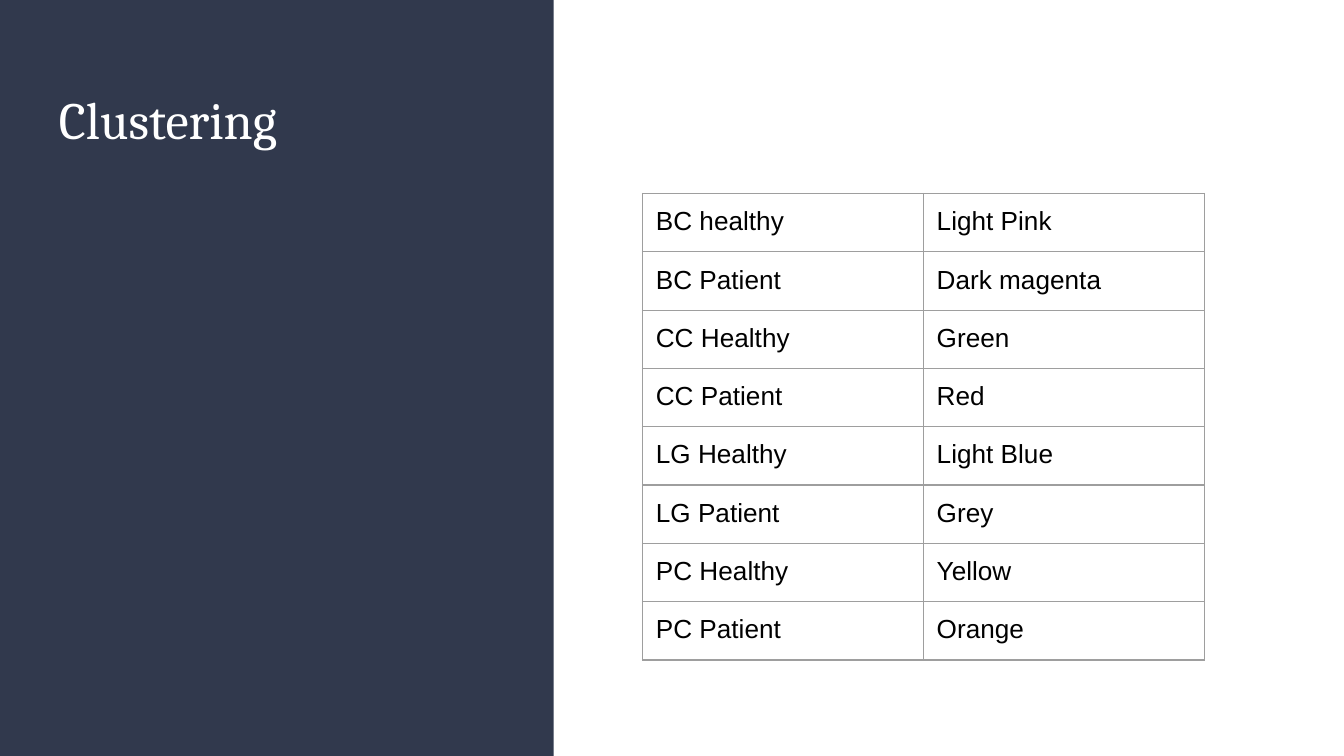
from lxml import etree
from pptx import Presentation
from pptx.dml.color import RGBColor
from pptx.enum import shapes, text
from pptx.oxml.ns import qn
from pptx.util import Inches, Pt


def set_color(target, color):
    """Give a fill a solid hex colour."""
    target.solid()
    target.fore_color.rgb = RGBColor.from_string(color)


def write(holder, words, font="Arial", size=14, color="000000"):
    """Write one left-aligned paragraph at the top of a text box or cell."""
    holder.vertical_anchor = text.MSO_ANCHOR.TOP
    holder.margin_left = holder.margin_right = Inches(0.1)
    holder.margin_top = holder.margin_bottom = Inches(0.1)
    frame = getattr(holder, "text_frame", holder)
    paragraph = frame.paragraphs[0]
    paragraph.alignment = text.PP_ALIGN.LEFT
    run = paragraph.add_run()
    run.text = words
    run.font.name = font
    run.font.size = Pt(size)
    set_color(run.font.fill, color)
    # The paragraph end takes the same size and font, so it adds no height
    end = etree.SubElement(paragraph._p, qn("a:endParaRPr"), sz=str(size * 100))
    etree.SubElement(end, qn("a:latin"), typeface=font)


presentation = Presentation()
presentation.slide_width = Inches(10)
presentation.slide_height = Inches(10 * 9 / 16)
slide = presentation.slides.add_slide(presentation.slide_layouts[6])
set_color(slide.background.fill, "FFFFFF")

# Dark side panel
panel = slide.shapes.add_shape(
    shapes.MSO_SHAPE.RECTANGLE, 0, 0, Inches(4.12), presentation.slide_height
)
panel.shadow.inherit = False
set_color(panel.fill, "31394D")
panel.line.fill.background()

# Title
title = slide.shapes.add_textbox(Inches(0.34), Inches(0.55), Inches(3.42), Inches(2))
title.text_frame.word_wrap = True
write(title.text_frame, "Clustering", font="Cambria", size=28, color="FFFFFF")

# Table of groups and their cluster colours
groups = [
    ("BC healthy", "Light Pink"),
    ("BC Patient", "Dark magenta"),
    ("CC Healthy", "Green"),
    ("CC Patient", "Red"),
    ("LG Healthy", "Light Blue"),
    ("LG Patient", "Grey"),
    ("PC Healthy", "Yellow"),
    ("PC Patient", "Orange"),
]
column_width, row_height = 2.09, 0.39
table = slide.shapes.add_table(
    len(groups), 2, Inches(4.78), Inches(1.44),
    Inches(2 * column_width), Inches(row_height * len(groups)),
).table
table.first_row = table.horz_banding = False

for row, labels in enumerate(groups):
    for column, label in enumerate(labels):
        cell = table.cell(row, column)
        write(cell, label)

        # Borders come before the fill in the cell properties
        properties = cell._tc.get_or_add_tcPr()
        for side in ("a:lnL", "a:lnR", "a:lnT", "a:lnB"):
            border = etree.SubElement(properties, qn(side), w=str(Pt(0.75)))
            solid = etree.SubElement(border, qn("a:solidFill"))
            etree.SubElement(solid, qn("a:srgbClr"), val="9E9E9E")
        cell.fill.background()

presentation.save("out.pptx")
